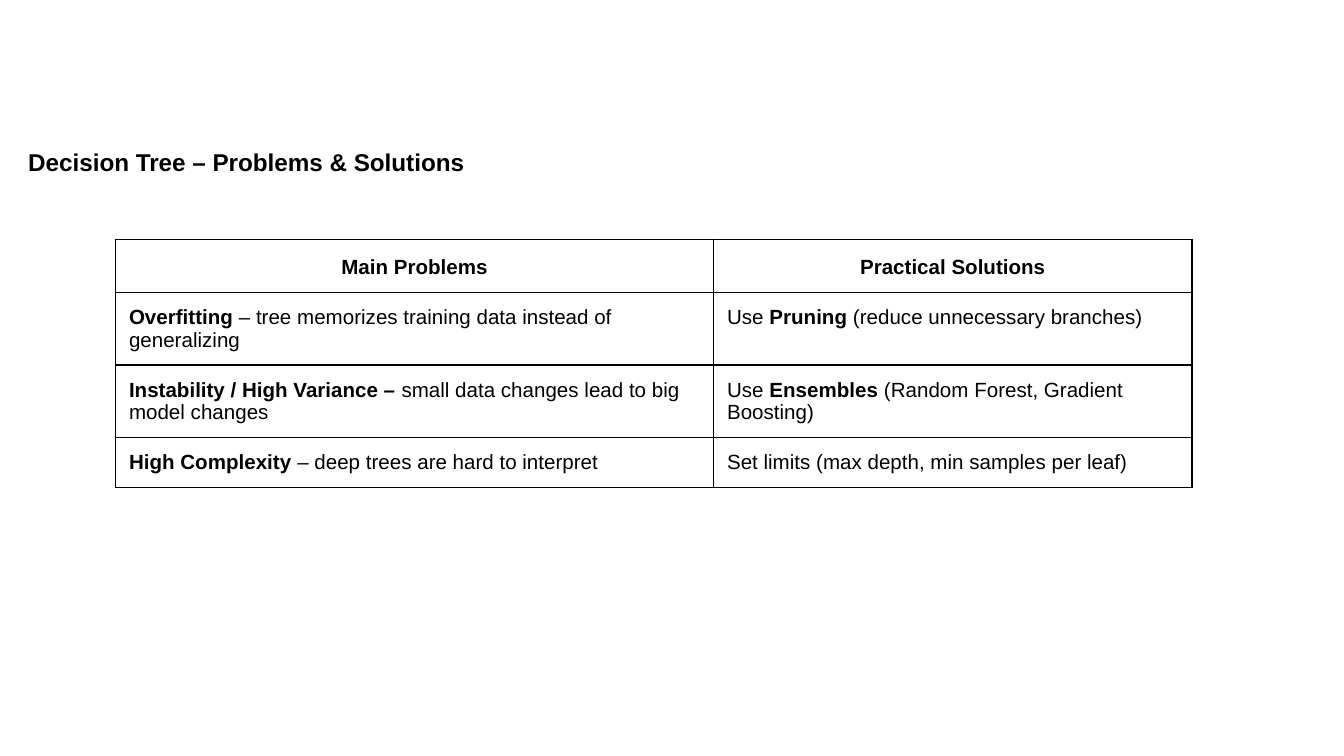
from pptx import Presentation
from pptx.dml.color import RGBColor
from pptx.enum.text import MSO_ANCHOR, PP_ALIGN
from pptx.oxml import parse_xml
from pptx.oxml.ns import nsdecls
from pptx.util import Inches, Pt

BLACK = RGBColor(0, 0, 0)
FONT = "Arial"
PAD = Inches(0.1)
TOP, LEFT, CENTER = MSO_ANCHOR.TOP, PP_ALIGN.LEFT, PP_ALIGN.CENTER

# Content: each cell is a list of (text, bold) runs
TITLE = "Decision Tree – Problems & Solutions"
ROWS = [
    ([("Main Problems", True)], [("Practical Solutions", True)]),
    ([("Overfitting", True),
      (" – tree memorizes training data instead of generalizing", False)],
     [("Use ", False), ("Pruning", True),
      (" (reduce unnecessary branches)", False)]),
    ([("Instability / High Variance –", True),
      (" small data changes lead to big model changes", False)],
     [("Use ", False), ("Ensembles", True),
      (" (Random Forest, Gradient Boosting)", False)]),
    ([("High Complexity ", True),
      ("– deep trees are hard to interpret", False)],
     [("Set limits (max depth, min samples per leaf)", False)]),
]
WIDTHS = [4.45, 3.56]
HEIGHTS = [0.39, 0.54, 0.54, 0.37]


def add_runs(para, runs, size):
    for text, bold in runs:
        run = para.add_run()
        run.text = text
        font = run.font
        font.name, font.size, font.bold = FONT, Pt(size), bold
        font.color.rgb = BLACK


def add_edges(cell):
    props = cell._tc.get_or_add_tcPr()
    for i, side in enumerate(("lnL", "lnR", "lnT", "lnB")):
        props.insert(i, parse_xml(
            f'<a:{side} {nsdecls("a")} w="{Pt(0.75)}"><a:solidFill>'
            f'<a:srgbClr val="{BLACK}"/></a:solidFill></a:{side}>'))


# Page, 16:9
deck = Presentation()
deck.slide_width = Inches(10)
deck.slide_height = deck.slide_width * 9 // 16
slide = deck.slides.add_slide(deck.slide_layouts[5])

# Title
title = slide.shapes.title
title.left, title.top = Inches(0.06), Inches(0.96)
title.width, title.height = Inches(4.94), Inches(0.42)
frame = title.text_frame
frame.word_wrap = True
frame.vertical_anchor = TOP
frame.margin_left = Inches(0.15)
frame.margin_right = frame.margin_top = frame.margin_bottom = PAD
para = frame.paragraphs[0]
para.alignment, para.line_spacing = LEFT, 1.15
add_runs(para, [(TITLE, True)], 13)

# Table
table = slide.shapes.add_table(
    len(ROWS), len(WIDTHS), Inches(0.86), Inches(1.78),
    Inches(sum(WIDTHS)), Inches(sum(HEIGHTS))).table
table.horz_banding = False
for col, width in zip(table.columns, WIDTHS):
    col.width = Inches(width)
for r, (row, height) in enumerate(zip(ROWS, HEIGHTS)):
    table.rows[r].height = Inches(height)
    for c, runs in enumerate(row):
        cell = table.cell(r, c)
        cell.fill.background()
        cell.vertical_anchor = TOP
        cell.margin_left = cell.margin_right = PAD
        cell.margin_top = cell.margin_bottom = PAD
        add_edges(cell)
        para = cell.text_frame.paragraphs[0]
        if r == 0:
            para.alignment, para.line_spacing = CENTER, 1.15
        add_runs(para, runs, 11)

deck.save("out.pptx")
